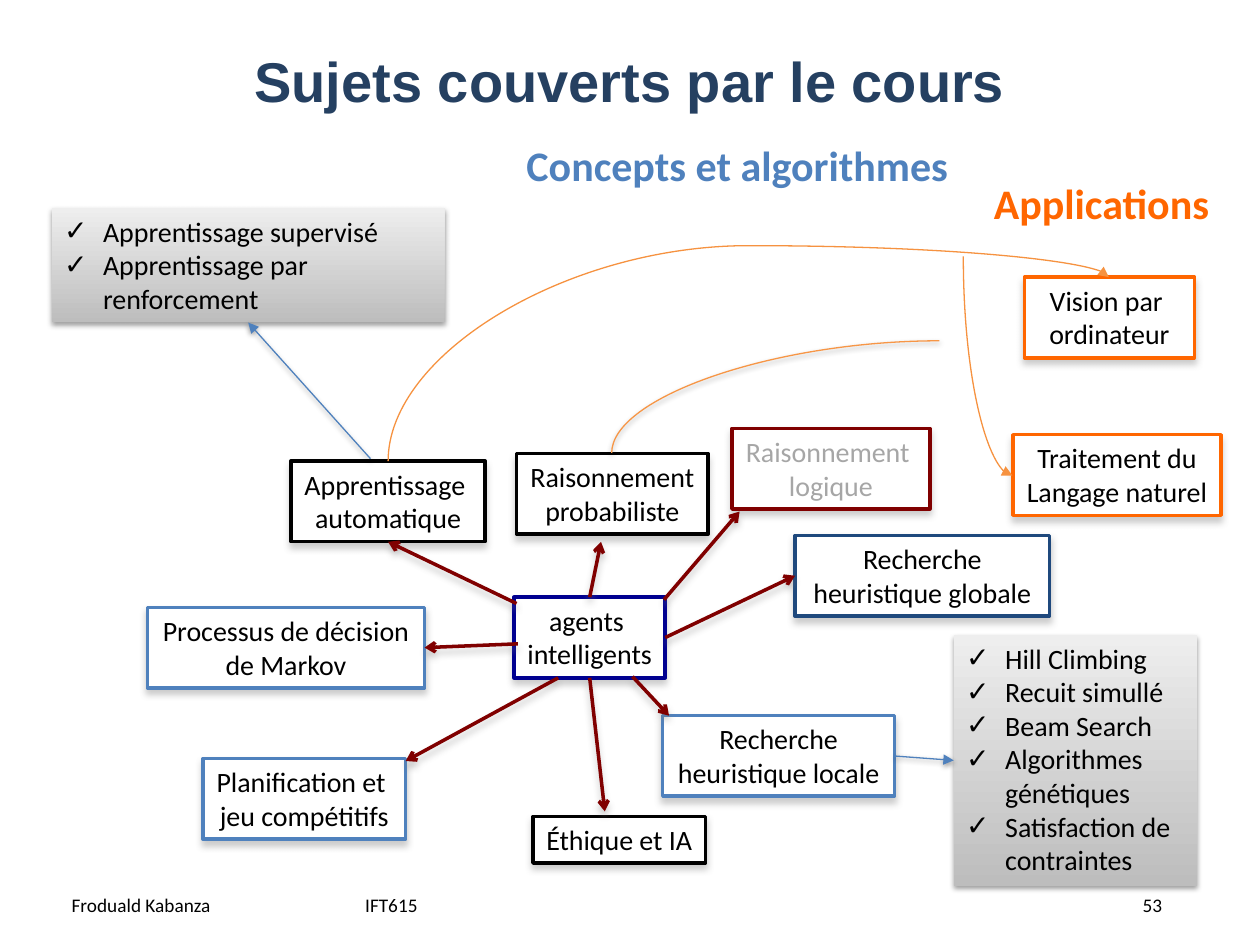
import lxml.etree
import pptx
import pptx.dml.color
import pptx.enum.shapes
import pptx.enum.text
import pptx.oxml.ns
import pptx.util

Inches = pptx.util.Inches
qn = pptx.oxml.ns.qn
ALIGN = pptx.enum.text.PP_ALIGN
LINK = pptx.enum.shapes.MSO_CONNECTOR
RECT = pptx.enum.shapes.MSO_SHAPE.RECTANGLE
TOP, LEFT, BOTTOM, RIGHT = range(4)

BLACK, BLUE, NAVY, MAROON = "000000", "4F81BD", "1F497D", "800000"
ORANGE, AMBER, GREY = "FF6600", "F69240", "A6A6A6"
# Shadows: colour, opacity in %, blur and distance in points
SOFT = ("808080", 40, 4, 3)
THIN = (BLACK, 38, 3.1, 1.6)

# Topic boxes: text, place, outline, text colour, wrap
TOPICS = {
    "agents": ("agents \nintelligents", (4.08, 4.74, 1.2, 0.64), "000090", BLACK, False),
    "logic": ("Raisonnement \nlogique", (5.81, 3.4, 1.57, 0.64), MAROON, GREY, False),
    "learn": ("Apprentissage \nautomatique", (2.31, 3.66, 1.54, 0.64), BLACK, BLACK, False),
    "markov": ("Processus de décision \nde Markov", (1.17, 4.82, 2.2, 0.64), BLUE, BLACK, True),
    "plan": ("Planification et \njeu compétitifs", (1.61, 6.02, 1.61, 0.64), BLUE, BLACK, False),
    "local": ("Recherche heuristique locale", (5.26, 5.68, 1.84, 0.64), BLUE, BLACK, True),
    "global": ("Recherche heuristique globale", (6.31, 4.25, 2.02, 0.64), NAVY, BLACK, True),
    "ethics": ("Éthique et IA", (4.23, 6.48, 1.37, 0.37), BLACK, BLACK, False),
    "chance": ("Raisonnement\nprobabiliste", (4.1, 3.6, 1.52, 0.64), BLACK, BLACK, False),
    "vision": ("Vision par \nordinateur", (8.13, 2.2, 1.35, 0.64), ORANGE, BLACK, True),
    "speech": ("Traitement du\nLangage naturel", (8.04, 3.45, 1.65, 0.64), ORANGE, BLACK, False),
}

# Detail lists: items and place
LISTS = {
    "kinds": (("Apprentissage supervisé", "Apprentissage par renforcement"),
              (0.41, 1.65, 3.12, 0.91)),
    "methods": (("Hill Climbing", "Recuit simullé", "Beam Search",
                 "Algorithmes génétiques", "Satisfaction de contraintes"),
                (7.57, 5.04, 1.93, 1.99)),
}

# Straight arrows: each end is a point, or a box name with its side
SPOKES = [
    (("agents", TOP), (4.77, 4.3)),
    ((4.1, 4.79), ("learn", BOTTOM)),
    (("agents", RIGHT), ("global", LEFT)),
    ((5.02, 5.37), (5.31, 5.68)),
    (("agents", BOTTOM), (4.8, 6.44)),
    ((4.11, 5.11), ("markov", RIGHT)),
    ((4.43, 5.38), (3.22, 6.04)),
    ((5.27, 4.76), (5.87, 4.06)),
]
DETAILS = [
    ((2.94, 3.64), ("kinds", BOTTOM)),
    (("local", RIGHT), ("methods", LEFT)),
]


def color(code):
    return pptx.dml.color.RGBColor.from_string(code)


def add_node(parent, tag, **attrs):
    return lxml.etree.SubElement(parent, qn(tag), attrs)


def shade(part, style=None):
    """Replace the theme shadow by the given one, or by none."""
    props = part.element.spPr
    effects = props.find(qn("a:effectLst"))
    if effects is None:
        effects = add_node(props, "a:effectLst")
    if style:
        code, alpha, blur, gap = style
        outer = add_node(effects, "a:outerShdw", blurRad=str(pptx.util.Pt(blur)),
                         dist=str(pptx.util.Pt(gap)), dir="5400000", rotWithShape="0")
        tint = add_node(outer, "a:srgbClr", val=code)
        add_node(tint, "a:alpha", val=str(alpha * 1000))


def format_text(frame, size, code, align=ALIGN.LEFT, font="Calibri", bold=False):
    for para in frame.paragraphs:
        para.alignment = align
        for run in para.runs:
            run.font.name = font
            run.font.size = pptx.util.Pt(size)
            run.font.bold = bold
            run.font.color.rgb = color(code)


def add_title(slide, text):
    title = slide.shapes.title
    title.left, title.top, title.width, title.height = map(Inches, (0.5, 0.3, 9, 0.67))
    title.text_frame.text = text
    title.text_frame.vertical_anchor = pptx.enum.text.MSO_ANCHOR.MIDDLE
    format_text(title.text_frame, 32, "254061", ALIGN.CENTER, "Arial", True)


def add_label(slide, text, place, size, code=BLACK, bold=False):
    label = slide.shapes.add_textbox(*map(Inches, place))
    label.text_frame.word_wrap = True
    label.text_frame.text = text
    format_text(label.text_frame, size, code, bold=bold)


def add_box(slide, text, place, wrap):
    box = slide.shapes.add_shape(RECT, *map(Inches, place))
    box.shadow.inherit = False
    frame = box.text_frame
    frame.word_wrap = wrap
    frame.vertical_anchor = pptx.enum.text.MSO_ANCHOR.TOP
    frame.text = text
    return box


def add_topic(slide, text, place, edge, code, wrap):
    box = add_box(slide, text, place, wrap)
    box.fill.solid()
    box.fill.fore_color.rgb = color("FFFFFF")
    box.line.color.rgb = color(edge)
    box.line.width = pptx.util.Pt(2)
    shade(box, SOFT)
    format_text(box.text_frame, 16, code, ALIGN.CENTER)
    return box


def add_list(slide, items, place):
    box = add_box(slide, "\n".join(items), place, True)
    box.fill.gradient()
    box.fill.gradient_angle = 90
    for stop, code in zip(box.fill.gradient_stops, ("BDBDBD", "EEEEEE")):
        stop.color.rgb = color(code)
    box.line.fill.background()
    shade(box, THIN)
    format_text(box.text_frame, 16, BLACK)
    indent = Inches(0.31)
    for para in box.text_frame.paragraphs:
        props = para._p.get_or_add_pPr()
        props.set("marL", str(indent))
        props.set("indent", str(-indent))
        add_node(props, "a:buFont", typeface="Arial")
        add_node(props, "a:buChar", char="✓")
    return box


def style_link(link, code, width, head, shadow):
    link.line.color.rgb = color(code)
    link.line.width = pptx.util.Pt(width)
    if head:
        add_node(link.element.spPr.find(qn("a:ln")), "a:tailEnd", type=head)
    shade(link, shadow)


def add_arrow(slide, boxes, start, end, code, width, head, shadow):
    link = slide.shapes.add_connector(LINK.STRAIGHT, 0, 0, 0, 0)
    if start[0] in boxes:
        link.begin_connect(boxes[start[0]], start[1])
    else:
        link.begin_x, link.begin_y = map(Inches, start)
    if end[0] in boxes:
        link.end_connect(boxes[end[0]], end[1])
    else:
        link.end_x, link.end_y = map(Inches, end)
    style_link(link, code, width, head, shadow)


def add_curve(slide, place, turn, flips, code, head="triangle", shadow=None, bend=None):
    """Draw a turned curve; place is its frame before the turn."""
    left, top, width, height = place
    link = slide.shapes.add_connector(
        LINK.CURVE, *map(Inches, (left, top, left + width, top + height)))
    frame = link.element.spPr.find(qn("a:xfrm"))
    frame.set("rot", str(turn * 60000))
    for flip in flips:
        frame.set(flip, "1")
    shape = link.element.spPr.find(qn("a:prstGeom"))
    if bend:
        guides = shape.find(qn("a:avLst"))
        add_node(guides, "a:gd", name="adj1", fmla=f"val {bend}")
    else:
        shape.set("prst", "curvedConnector2")
    style_link(link, code, 0.75, head, shadow)


def main():
    deck = pptx.Presentation()
    deck.slide_width, deck.slide_height = Inches(10), Inches(7.5)
    slide = deck.slides.add_slide(deck.slide_layouts[5])

    # Title, headings and footer
    add_title(slide, "Sujets couverts par le cours")
    add_label(slide, "Concepts et algorithmes", (4.08, 1.06, 3.58, 0.5), 24, BLUE, True)
    add_label(slide, "Applications", (7.79, 1.36, 1.93, 0.5), 24, ORANGE, True)
    add_label(slide, "Froduald Kabanza", (0.47, 7.04, 1.38, 0.4), 11)
    add_label(slide, "IFT615", (2.8, 7.04, 3.53, 0.4), 11)
    add_label(slide, "53", (8.97, 7.04, 0.57, 0.4), 11)

    # Topic boxes and detail lists
    boxes = {name: add_topic(slide, *topic) for name, topic in TOPICS.items()}
    boxes.update({name: add_list(slide, *data) for name, data in LISTS.items()})

    # Arrows from the centre and to the lists
    for start, end in SPOKES:
        add_arrow(slide, boxes, start, end, MAROON, 2, "arrow", SOFT)
    for start, end in DETAILS:
        add_arrow(slide, boxes, start, end, BLUE, 0.75, "triangle", THIN)

    # Curves to the applications
    both = ("flipH", "flipV")
    add_curve(slide, (5.21, 0.07, 1.46, 5.72), 90, both, AMBER, bend=117100)
    add_curve(slide, (6.97, 2.71, 1.74, 0.39), 270, ("flipH",), AMBER)
    add_curve(slide, (5.71, 1.85, 0.89, 2.6), 90, both, "F79646", None, THIN)

    deck.save("out.pptx")


if __name__ == "__main__":
    main()
